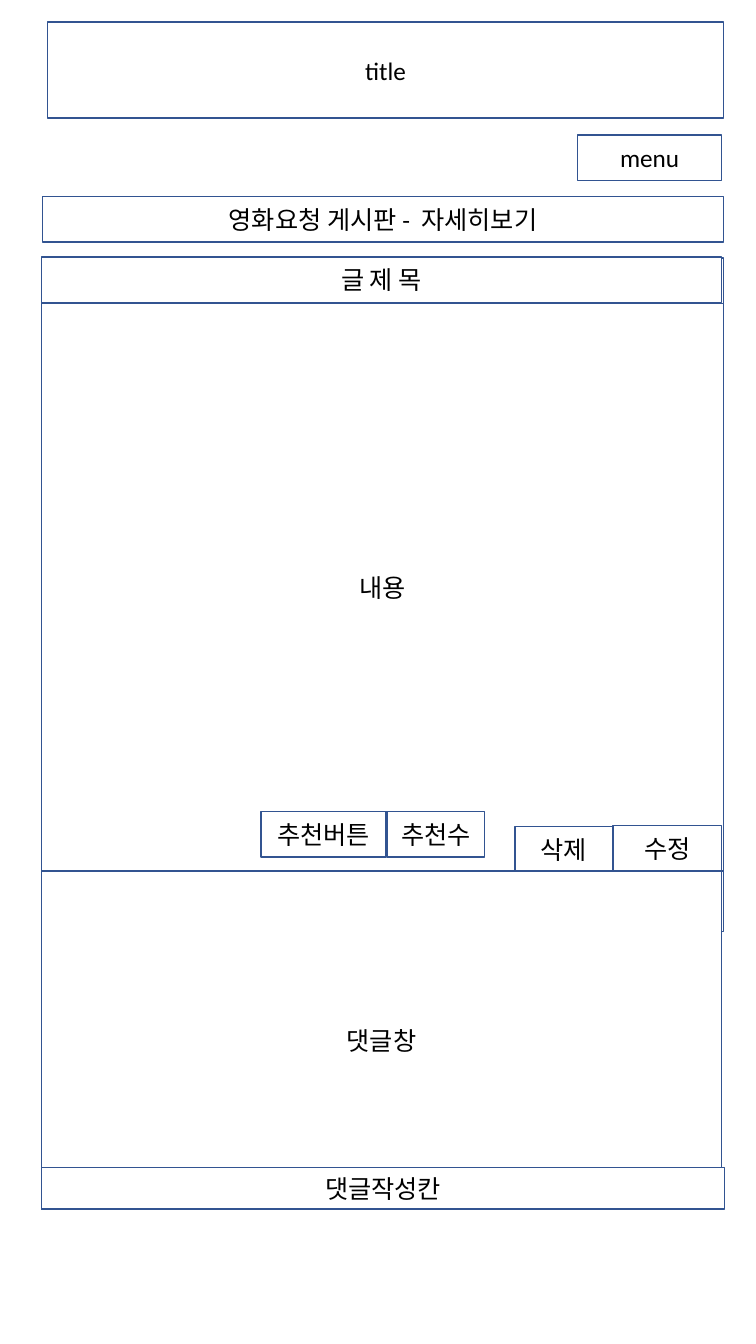
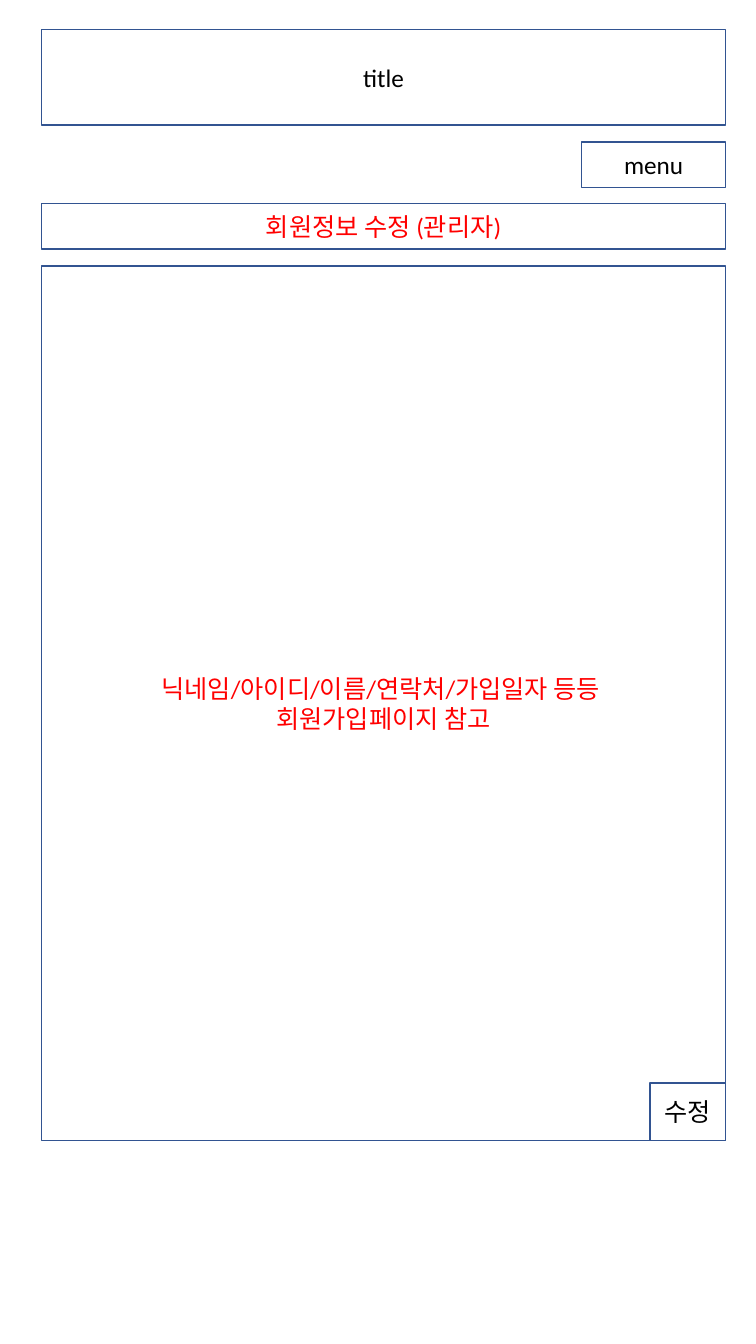
import pptx
import pptx.dml.color
import pptx.enum.shapes
import pptx.enum.text
import pptx.util
from dataclasses import dataclass

Inches = pptx.util.Inches
RGB = pptx.dml.color.RGBColor.from_string


@dataclass(frozen=True)
class Theme:
    paper: RGB = RGB("FFFFFF")
    outline: RGB = RGB("325491")
    ink: RGB = RGB("000000")
    accent: RGB = RGB("FF0000")
    font: str = "Calibri"
    text_size: pptx.util.Pt = pptx.util.Pt(18)
    line_width: pptx.util.Pt = pptx.util.Pt(1)


THEME = Theme()
LEFT = 0.41
BAR_HEIGHT = 0.45
TITLE_HEIGHT = 0.95
MENU_WIDTH = 1.43
MENU_DROP = 1.12
HEADING_DROP = 1.73

PAGES = [
    {
        "top": 0.22,
        "title_span": (0.47, 6.71),
        "menu_left": 5.73,
        "heading": ("영화요청 게시판 -  자세히보기", 0.42, 6.76),
        "heading_color": THEME.ink,
        "backdrop": ("", LEFT, 2.56, 6.77, 6.68),
        "panels": [
            ("글 제 목", LEFT, 2.55, 6.75, BAR_HEIGHT),
            ("내용", LEFT, 3.01, 6.77, 5.63),
            ("삭제", 5.11, 8.2, 0.97, BAR_HEIGHT),
            ("수정", 6.08, 8.19, 1.08, BAR_HEIGHT),
            ("추천버튼", 2.59, 8.05, 1.24, BAR_HEIGHT),
            ("추천수", 3.84, 8.05, 0.97, BAR_HEIGHT),
            ("댓글창", LEFT, 8.64, 6.75, 3.35),
            ("댓글작성칸", LEFT, 11.58, 6.78, 0.41),
        ],
    },
    {
        "top": 0.29,
        "title_span": (LEFT, 6.79),
        "menu_left": 5.77,
        "heading": ("회원정보 수정 (관리자)", LEFT, 6.79),
        "heading_color": THEME.accent,
        "backdrop": ("닉네임/아이디/이름/연락처/가입일자 등등 \n회원가입페이지 참고", LEFT, 2.64, 6.79, 8.67),
        "panels": [("수정", 6.45, 10.74, 0.75, 0.57)],
    },
]


def add_panel(slide, label, left, top, width, height, color=THEME.ink):
    panel = slide.shapes.add_shape(
        pptx.enum.shapes.MSO_SHAPE.RECTANGLE,
        Inches(left), Inches(top), Inches(width), Inches(height))
    panel.shadow.inherit = False
    panel.fill.solid()
    panel.fill.fore_color.rgb = THEME.paper
    panel.line.color.rgb = THEME.outline
    panel.line.width = THEME.line_width
    if not label:
        return
    frame = panel.text_frame
    frame.text = label
    frame.word_wrap = True
    frame.vertical_anchor = pptx.enum.text.MSO_ANCHOR.MIDDLE
    for paragraph in frame.paragraphs:
        paragraph.alignment = pptx.enum.text.PP_ALIGN.CENTER
        for run in paragraph.runs:
            run.font.name = THEME.font
            run.font.size = THEME.text_size
            run.font.color.rgb = color


def add_header(slide, page):
    top = page["top"]
    heading, heading_left, heading_width = page["heading"]
    title_left, title_width = page["title_span"]
    add_panel(slide, heading, heading_left, top + HEADING_DROP,
              heading_width, BAR_HEIGHT, page["heading_color"])
    add_panel(slide, "menu", page["menu_left"], top + MENU_DROP, MENU_WIDTH, BAR_HEIGHT)
    add_panel(slide, "title", title_left, top, title_width, TITLE_HEIGHT)


def main():
    deck = pptx.Presentation()
    deck.slide_width, deck.slide_height = Inches(7.5), Inches(13.33)
    for page in PAGES:
        slide = deck.slides.add_slide(deck.slide_layouts[6])
        add_panel(slide, *page["backdrop"], color=page["heading_color"])
        add_header(slide, page)
        for panel in page["panels"]:
            add_panel(slide, *panel)
    deck.save("out.pptx")


if __name__ == "__main__":
    main()
